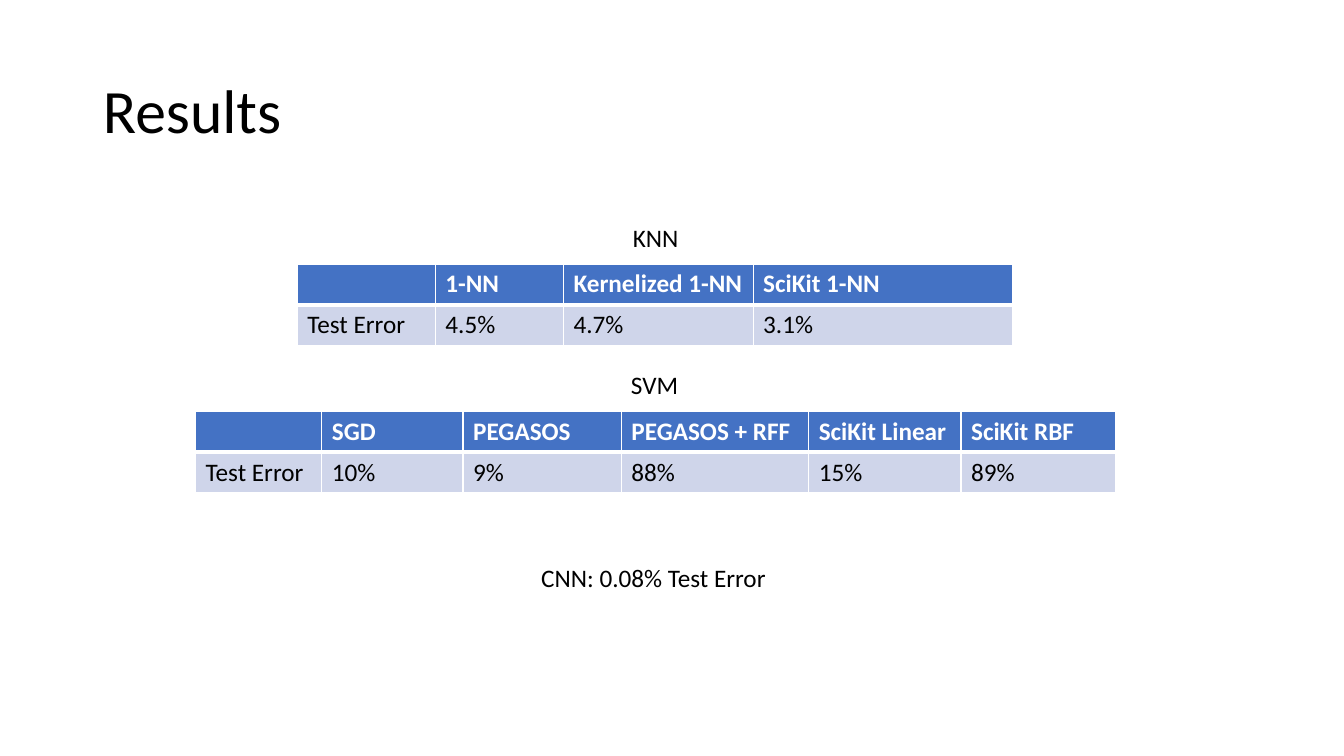
"""Build the results slide with the KNN and SVM error tables."""
from lxml import etree
from pptx import Presentation
from pptx.dml.color import RGBColor
from pptx.enum.text import MSO_ANCHOR, MSO_AUTO_SIZE, PP_ALIGN
from pptx.oxml.ns import qn
from pptx.util import Cm, Pt

WHITE, BLACK, BLUE, PALE_BLUE = "FFFFFF", "000000", "4472C4", "CFD5EA"
ROW_HEIGHT = 1.03


def style_text(text_frame, size, color, bold=False):
    for paragraph in text_frame.paragraphs:
        for run in paragraph.runs:
            run.font.name = "Calibri"
            run.font.size = Pt(size)
            run.font.bold = bold
            run.font.color.rgb = RGBColor.from_string(color)


def add_border(cell, side, width):
    line = etree.SubElement(cell._tc.get_or_add_tcPr(), qn(f"a:ln{side}"), w=str(Pt(width)))
    fill = etree.SubElement(line, qn("a:solidFill"))
    etree.SubElement(fill, qn("a:srgbClr"), val=WHITE)


presentation = Presentation()
presentation.slide_width = Cm(33.87)
presentation.slide_height = Cm(19.05)
slide = presentation.slides.add_slide(presentation.slide_layouts[5])

title = slide.shapes.title
title.left, title.top, title.width, title.height = Cm(2.34), Cm(1.02), Cm(29.21), Cm(3.68)
title.text_frame.text = "Results"
title.text_frame.vertical_anchor = MSO_ANCHOR.MIDDLE
title.text_frame.paragraphs[0].alignment = PP_ALIGN.LEFT
title.text_frame.paragraphs[0].line_spacing = 0.9
style_text(title.text_frame, 44, BLACK)

tables = [
    (7.49, 6.65, [3.48, 3.23, 4.78, 6.53], [
        ["", "1-NN", "Kernelized 1-NN", "SciKit 1-NN"],
        ["Test Error", "4.5%", "4.7%", "3.1%"],
    ]),
    (4.93, 10.36, [3.18, 3.56, 3.99, 4.72, 3.84, 3.89], [
        ["", "SGD", "PEGASOS", "PEGASOS + RFF", "SciKit Linear", "SciKit RBF"],
        ["Test Error", "10%", "9%", "88%", "15%", "89%"],
    ]),
]
for left, top, widths, rows in tables:
    table = slide.shapes.add_table(
        len(rows), len(widths), Cm(left), Cm(top), Cm(sum(widths)), Cm(ROW_HEIGHT * len(rows))
    ).table
    for column, width in zip(table.columns, widths):
        column.width = Cm(width)
    for row_index, values in enumerate(rows):
        header = row_index == 0
        for column_index, value in enumerate(values):
            cell = table.cell(row_index, column_index)
            cell.text_frame.text = value
            style_text(cell.text_frame, 18, WHITE if header else BLACK, bold=header)
            for side, width in zip("LRTB", [1, 1, 1, 3] if header else [1, 1, 3, 1]):
                add_border(cell, side, width)
            cell.fill.solid()
            cell.fill.fore_color.rgb = RGBColor.from_string(BLUE if header else PALE_BLUE)

captions = [
    ("KNN", 15.7, 5.49, 1.68),
    ("SVM", 15.65, 9.17, 1.73),
    ("CNN: 0.08% Test Error", 13.39, 14.05, 6.22),
]
for text, left, top, width in captions:
    caption = slide.shapes.add_textbox(Cm(left), Cm(top), Cm(width), Cm(1.02))
    caption.text_frame.text = text
    caption.text_frame.word_wrap = False
    caption.text_frame.auto_size = MSO_AUTO_SIZE.SHAPE_TO_FIT_TEXT
    style_text(caption.text_frame, 18, BLACK)

presentation.save("out.pptx")
